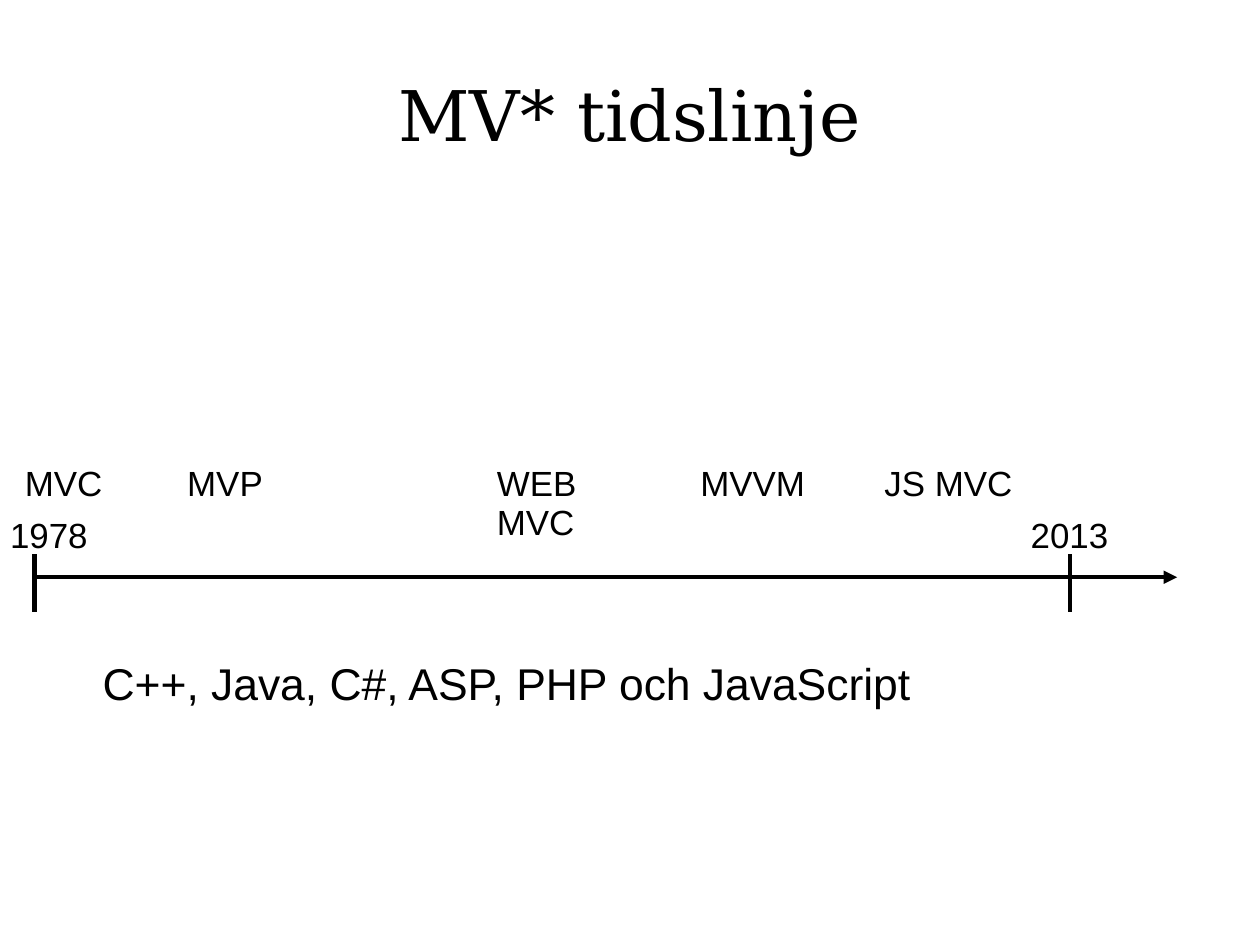
from lxml import etree
from pptx import Presentation
from pptx.dml.color import RGBColor
from pptx.enum import shapes, text
from pptx.oxml import ns
from pptx.util import Inches, Pt

COLORS = {"ink": "000000", "paper": "FFFFFF"}
AXIS = 5.05
START, END = 0.3, 10.3
YEARS = [("1978", -0.01, START), ("2013", 8.92, 9.36)]
MODELS = [("MVC", 0.12), ("MVP", 1.54), ("WEB MVC", 4.25),
          ("MVVM", 6.03), ("JS MVC", 7.64)]


def color(name):
    return RGBColor.from_string(COLORS[name])


def add_text(slide, words, box, size, top=0.07):
    shape = slide.shapes.add_textbox(*map(Inches, box))
    frame = shape.text_frame
    frame.word_wrap = True
    frame.margin_left = frame.margin_right = Inches(0.1)
    frame.margin_top, frame.margin_bottom = Inches(top), Inches(0.05)
    para = frame.paragraphs[0]
    para.text = words
    para.line_spacing = 0.93
    para.font.size = Pt(size)
    para.font.name = "Arial"
    para.font.color.rgb = color("ink")
    return frame


def add_title(slide, words):
    frame = add_text(slide, words, (0.55, 0.33, 9.92, 1.38), 44, 0.01)
    frame.vertical_anchor = text.MSO_ANCHOR.MIDDLE
    frame.margin_left = frame.margin_right = frame.margin_bottom = 0
    para = frame.paragraphs[0]
    para.alignment = text.PP_ALIGN.CENTER
    para.line_spacing = 0.98
    para.font.name = "DejaVu Serif"


def add_line(slide, *ends, arrow=False):
    line = slide.shapes.add_connector(
        shapes.MSO_CONNECTOR.STRAIGHT, *map(Inches, ends))
    line.line.color.rgb = color("ink")
    line.line.width = Pt(2.83)
    if arrow:
        tail = etree.SubElement(line.line._get_or_add_ln(), ns.qn("a:tailEnd"))
        tail.set("type", "triangle")
    etree.SubElement(line._element.spPr, ns.qn("a:effectLst"))


def main():
    deck = Presentation()
    deck.slide_width, deck.slide_height = Pt(793.75), Pt(595.25)
    slide = deck.slides.add_slide(deck.slide_layouts[6])
    fill = slide.background.fill
    fill.solid()
    fill.fore_color.rgb = color("paper")

    add_title(slide, "MV* tidslinje")
    add_line(slide, START, AXIS, END, AXIS, arrow=True)
    for year, left, tick in YEARS:
        add_line(slide, tick, AXIS - 0.2, tick, AXIS + 0.3)
        add_text(slide, year, (left, 4.46, 1.3, 0.44), 22)
    for model, left in MODELS:
        height = 0.78 if model == "WEB MVC" else 0.44
        add_text(slide, model, (left, 4, 1.5, height), 22)
    add_text(slide, "C++, Java, C#, ASP, PHP och JavaScript",
             (0.8, 5.7, 9.3, 0.53), 28, 0.08)
    deck.save("out.pptx")


if __name__ == "__main__":
    main()
